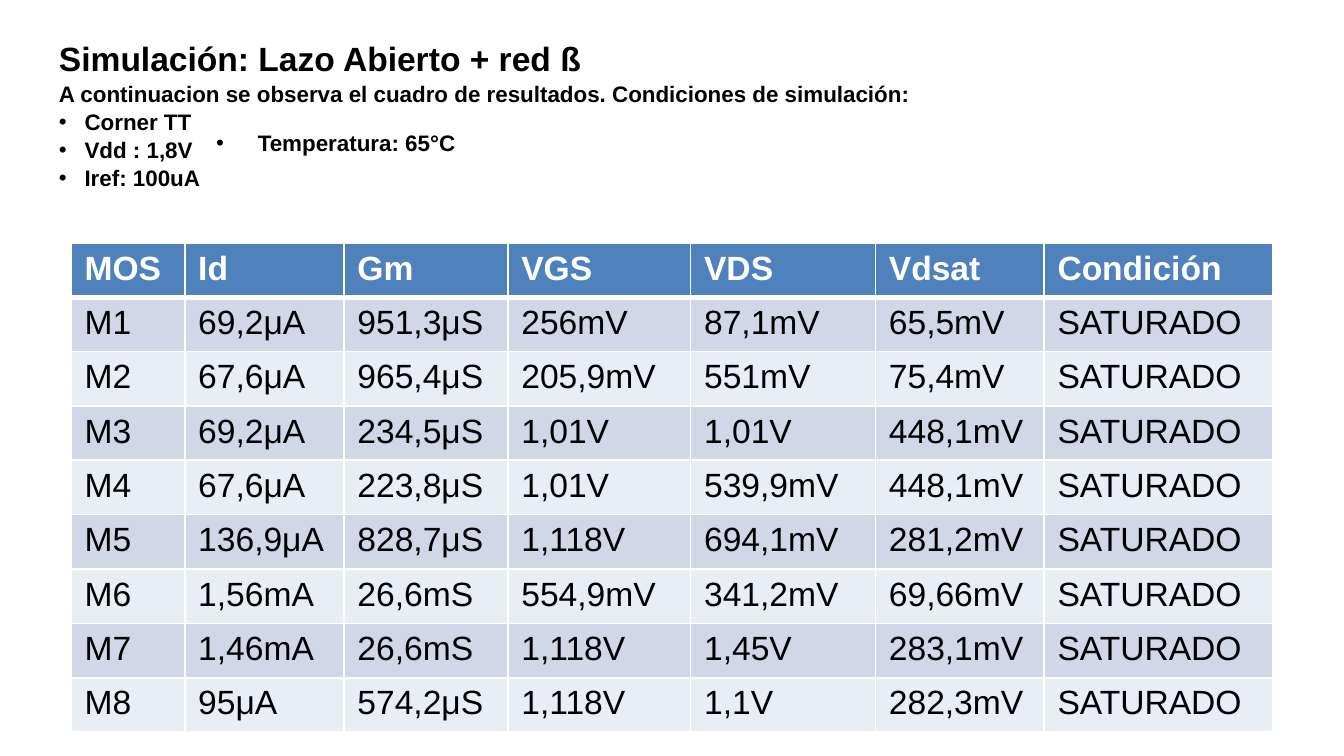
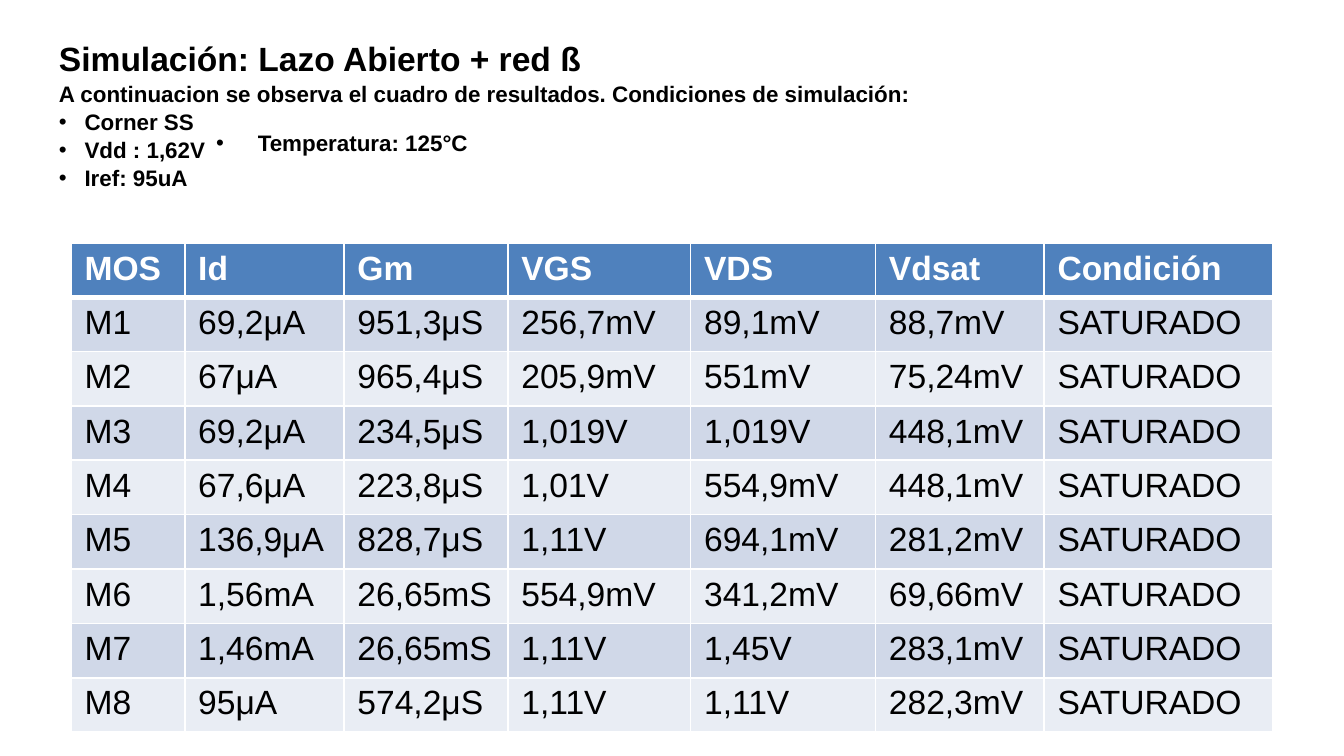
import dataclasses
import typing

import lxml.etree
import pptx
import pptx.dml.color
import pptx.enum.text
import pptx.oxml.ns
import pptx.util

PX = 4572  # EMU per px, 200 px to the inch


# Theme
@dataclasses.dataclass(frozen=True)
class Theme:
    font: str = "Arial"
    ink: str = "000000"
    white: str = "FFFFFF"
    header_fill: str = "4F81BD"
    band_fills: tuple[str, str] = ("D0D8E8", "E9EDF4")
    title_size: int = 18
    body_size: int = 12
    table_size: int = 18
    line_spacing: float = 1.05
    thin_border: int = 1
    header_border: int = 3


THEME = Theme()


class Box(typing.NamedTuple):
    left: int
    top: int
    width: int
    height: int


@dataclasses.dataclass(frozen=True)
class Simulation:
    conditions: tuple[str, ...]
    temperature: str
    results: tuple[str, ...]


# Shared layout and wording
SLIDE_WIDTH, SLIDE_HEIGHT = 2000, 1125
HEADING_BOX = Box(68, 34, 1864, 322)
TEMPERATURE_BOX = Box(302, 182, 436, 60)
TABLE_LEFT, TABLE_TOP = 106, 362
COLUMN_WIDTHS = (169, 237, 244, 272, 275, 251, 340)
ROW_HEIGHTS = (81, 78) + (81,) * 7
CONDITION_INDENT, TEMPERATURE_INDENT = 38, 62

TITLE = "Simulación: Lazo Abierto + red ß"
INTRODUCTION = "A continuacion se observa el cuadro de resultados. Condiciones de simulación:"
HEADERS = ("MOS", "Id", "Gm", "VGS", "VDS", "Vdsat", "Condición")
STATE = "SATURADO"

# Results of transistors M1 to M8: Id, Gm, VGS, VDS, Vdsat
SIMULATIONS = (
    Simulation(
        ("Corner TT", "Vdd : 1,8V", "Iref: 100uA"),
        "Temperatura: 65°C",
        (
            "69,2μA 951,3μS 256mV 87,1mV 65,5mV",
            "67,6μA 965,4μS 205,9mV 551mV 75,4mV",
            "69,2μA 234,5μS 1,01V 1,01V 448,1mV",
            "67,6μA 223,8μS 1,01V 539,9mV 448,1mV",
            "136,9μA 828,7μS 1,118V 694,1mV 281,2mV",
            "1,56mA 26,6mS 554,9mV 341,2mV 69,66mV",
            "1,46mA 26,6mS 1,118V 1,45V 283,1mV",
            "95μA 574,2μS 1,118V 1,1V 282,3mV",
        ),
    ),
    Simulation(
        ("Corner SS", "Vdd : 1,62V", "Iref: 95uA"),
        "Temperatura: 125°C",
        (
            "69,2μA 951,3μS 256,7mV 89,1mV 88,7mV",
            "67μA 965,4μS 205,9mV 551mV 75,24mV",
            "69,2μA 234,5μS 1,019V 1,019V 448,1mV",
            "67,6μA 223,8μS 1,01V 554,9mV 448,1mV",
            "136,9μA 828,7μS 1,11V 694,1mV 281,2mV",
            "1,56mA 26,65mS 554,9mV 341,2mV 69,66mV",
            "1,46mA 26,65mS 1,11V 1,45V 283,1mV",
            "95μA 574,2μS 1,11V 1,11V 282,3mV",
        ),
    ),
)


# Helpers
def px(length: int) -> pptx.util.Emu:
    return pptx.util.Emu(length * PX)


def apply_format(target: typing.Any, values: dict[str, typing.Any]) -> None:
    for name, value in values.items():
        setattr(target, name, value)


def add_run(paragraph: typing.Any, text: str, size: int,
            color: str = THEME.ink, bold: bool = True) -> None:
    run = paragraph.add_run()
    run.text = text
    apply_format(run.font, {"name": THEME.font, "size": pptx.util.Pt(size), "bold": bold})
    run.font.color.rgb = pptx.dml.color.RGBColor.from_string(color)


def add_child(parent: typing.Any, tag: str, **attributes: str) -> typing.Any:
    return lxml.etree.SubElement(parent, pptx.oxml.ns.qn(tag), attributes)


def add_bullet(paragraph: typing.Any, indent: int) -> None:
    properties = paragraph._p.get_or_add_pPr()
    properties.set("marL", str(px(indent)))
    properties.set("indent", str(-px(indent)))
    add_child(properties, "a:buFont", typeface=THEME.font)
    add_child(properties, "a:buChar", char="•")


def add_text_box(slide: typing.Any, box: Box, margin_y: int) -> typing.Any:
    frame = slide.shapes.add_textbox(*map(px, box)).text_frame
    apply_format(frame, {
        "word_wrap": True,
        "vertical_anchor": pptx.enum.text.MSO_ANCHOR.TOP,
        "margin_left": px(20),
        "margin_right": px(20),
        "margin_top": px(margin_y),
        "margin_bottom": px(margin_y),
    })
    return frame


def set_borders(cell: typing.Any, bottom: int) -> None:
    properties = cell._tc.get_or_add_tcPr()
    for side in "LRTB":
        width = bottom if side == "B" else THEME.thin_border
        line = add_child(properties, f"a:ln{side}", w=str(pptx.util.Pt(width)))
        add_child(add_child(line, "a:solidFill"), "a:srgbClr", val=THEME.white)


# Slide parts
def draw_heading(slide: typing.Any, conditions: tuple[str, ...]) -> None:
    frame = add_text_box(slide, HEADING_BOX, 20)
    heading = frame.paragraphs[0]
    heading.line_spacing = THEME.line_spacing
    add_run(heading, TITLE, THEME.title_size)
    heading.add_line_break()
    add_run(heading, INTRODUCTION, THEME.body_size)
    for condition in conditions:
        paragraph = frame.add_paragraph()
        paragraph.line_spacing = THEME.line_spacing
        add_bullet(paragraph, CONDITION_INDENT)
        add_run(paragraph, condition, THEME.body_size)


def draw_temperature(slide: typing.Any, temperature: str) -> None:
    frame = add_text_box(slide, TEMPERATURE_BOX, 10)
    frame.auto_size = pptx.enum.text.MSO_AUTO_SIZE.SHAPE_TO_FIT_TEXT
    paragraph = frame.paragraphs[0]
    add_bullet(paragraph, TEMPERATURE_INDENT)
    add_run(paragraph, temperature, THEME.body_size)


def draw_results(slide: typing.Any, results: tuple[str, ...]) -> None:
    rows = [HEADERS] + [
        (f"M{number}", *values.split(), STATE)
        for number, values in enumerate(results, start=1)
    ]
    box = Box(TABLE_LEFT, TABLE_TOP, sum(COLUMN_WIDTHS), sum(ROW_HEIGHTS))
    table = slide.shapes.add_table(len(rows), len(HEADERS), *map(px, box)).table
    table.horz_banding = False
    for column, width in zip(table.columns, COLUMN_WIDTHS):
        column.width = px(width)
    for index, (row, height, texts) in enumerate(zip(table.rows, ROW_HEIGHTS, rows)):
        row.height = px(height)
        is_header = index == 0
        fill = THEME.header_fill if is_header else THEME.band_fills[(index - 1) % 2]
        color = THEME.white if is_header else THEME.ink
        bottom = THEME.header_border if is_header else THEME.thin_border
        for cell, text in zip(row.cells, texts):
            set_borders(cell, bottom)
            cell.fill.solid()
            cell.fill.fore_color.rgb = pptx.dml.color.RGBColor.from_string(fill)
            add_run(cell.text_frame.paragraphs[0], text, THEME.table_size, color, is_header)


def main() -> None:
    presentation = pptx.Presentation()
    apply_format(presentation, {
        "slide_width": px(SLIDE_WIDTH),
        "slide_height": px(SLIDE_HEIGHT),
    })
    for simulation in SIMULATIONS:
        slide = presentation.slides.add_slide(presentation.slide_layouts[6])
        draw_heading(slide, simulation.conditions)
        draw_results(slide, simulation.results)
        draw_temperature(slide, simulation.temperature)
    presentation.save("out.pptx")


if __name__ == "__main__":
    main()
